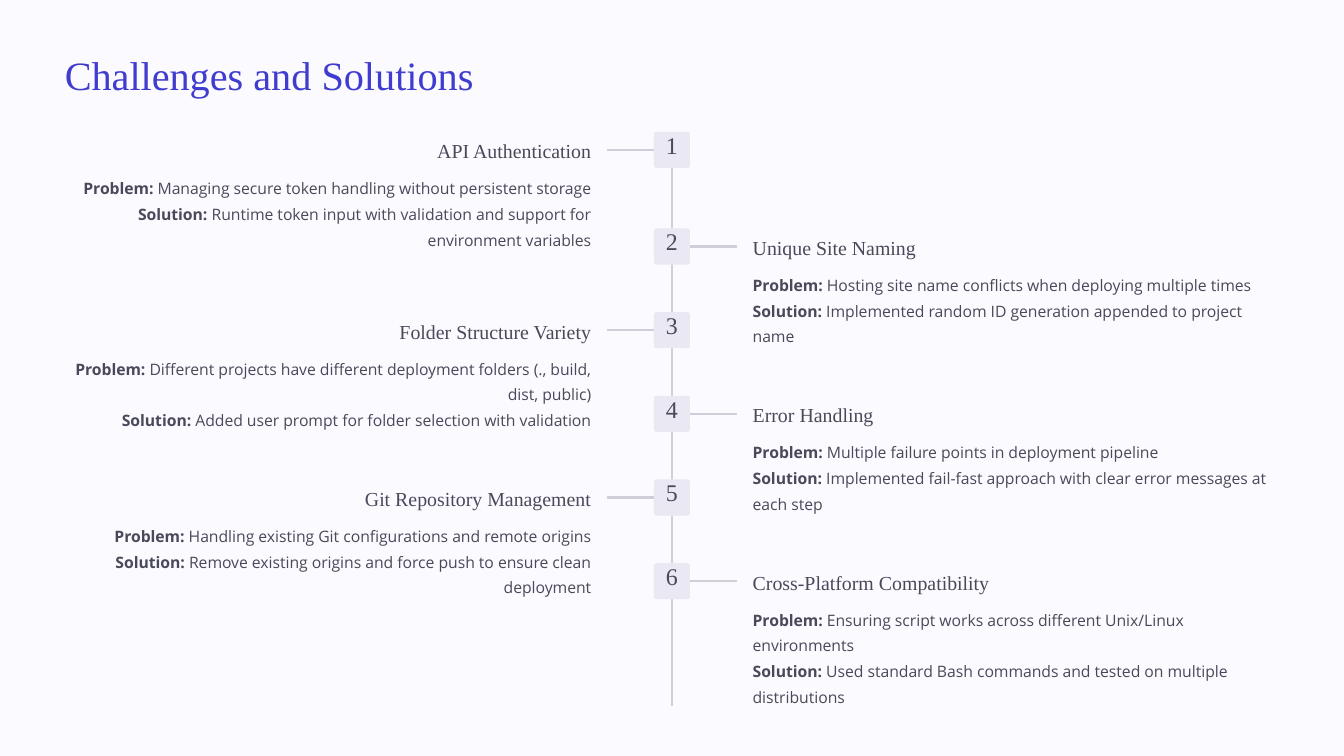
from lxml import etree
from pptx import Presentation
from pptx.dml.color import RGBColor
from pptx.enum.shapes import MSO_CONNECTOR, MSO_SHAPE
from pptx.enum.text import MSO_ANCHOR, MSO_AUTO_SIZE, PP_ALIGN
from pptx.oxml.ns import qn
from pptx.util import Cm, Pt

LEFT, MID, RIGHT = PP_ALIGN.LEFT, PP_ALIGN.CENTER, PP_ALIGN.RIGHT
TOP, NO_FIT = MSO_ANCHOR.TOP, MSO_AUTO_SIZE.NONE
ROUND, LINE = MSO_SHAPE.ROUNDED_RECTANGLE, MSO_CONNECTOR.STRAIGHT

# Content: heading, heading width in cm, problem, solution
TITLE = "Challenges and Solutions"
STEPS = [
    ("API Authentication", 6.1,
     "Managing secure token handling without persistent storage",
     "Runtime token input with validation and support for environment variables"),
    ("Unique Site Naming", 6.35,
     "Hosting site name conflicts when deploying multiple times",
     "Implemented random ID generation appended to project name"),
    ("Folder Structure Variety", 7.49,
     "Different projects have different deployment folders (., build, dist, public)",
     "Added user prompt for folder selection with validation"),
    ("Error Handling", 6.1,
     "Multiple failure points in deployment pipeline",
     "Implemented fail-fast approach with clear error messages at each step"),
    ("Git Repository Management", 8.86,
     "Handling existing Git configurations and remote origins",
     "Remove existing origins and force push to ensure clean deployment"),
    ("Cross-Platform Compatibility", 9.32,
     "Ensuring script works across different Unix/Linux environments",
     "Used standard Bash commands and tested on multiple distributions"),
]

# Style and measures in cm
SERIF, SANS = "Times New Roman", "Open Sans"
PAPER, BLUE, INK, RULE, TILE = "FBFAFF", "403CCF", "49495A", "D0CED9", "EAE8F3"
AXIS, START, END = 20.32, 3.99, 21.36
SECOND, PITCH = 6.91, 2.53
SIDE, TICK = 1.09, 1.41
GAP, WIDE = 2.44, 15.93


def color(code):
    return RGBColor.from_string(code)


def setup(frame):
    frame.margin_left = frame.margin_right = 0
    frame.margin_top = frame.margin_bottom = 0
    frame.word_wrap = True
    frame.auto_size = NO_FIT
    frame.vertical_anchor = TOP


def write(para, parts, font, size, pitch, align=LEFT, code=INK):
    """Fill a paragraph with (text, bold) runs."""
    para.alignment = align
    para.line_spacing = Pt(pitch)
    for text, bold in parts:
        run = para.add_run()
        run.text = text
        run.font.name, run.font.size, run.font.bold = font, Pt(size), bold
        run.font.color.rgb = color(code)


def box(x, y, w, h):
    frame = slide.shapes.add_textbox(Cm(x), Cm(y), Cm(w), Cm(h)).text_frame
    setup(frame)
    return frame


def rule(x1, y1, x2, y2):
    line = slide.shapes.add_connector(LINE, Cm(x1), Cm(y1), Cm(x2), Cm(y2))
    line.line.color.rgb = color(RULE)
    line.line.width = Pt(2)
    etree.SubElement(line._element.spPr, qn("a:effectLst"))
    return line


def tile(num, y):
    shape = slide.shapes.add_shape(ROUND, Cm(AXIS - SIDE / 2), Cm(y), Cm(SIDE), Cm(SIDE))
    shape.adjustments[0] = 0.07
    shape.shadow.inherit = False
    shape.fill.solid()
    shape.fill.fore_color.rgb = color(TILE)
    shape.line.fill.background()
    frame = shape.text_frame
    setup(frame)
    frame.margin_top = Cm(0.08)
    write(frame.paragraphs[0], [(str(num), False)], SERIF, 20.5, 20.5, MID)
    return shape


deck = Presentation()
deck.slide_width, deck.slide_height = Cm(40.64), Cm(22.86)
slide = deck.slides.add_slide(deck.slide_layouts[5])
slide.background.fill.solid()
slide.background.fill.fore_color.rgb = color(PAPER)

# Title
head = slide.shapes.title
head.left, head.top, head.width, head.height = Cm(1.96), Cm(1.47), Cm(15.72), Cm(1.52)
setup(head.text_frame)
write(head.text_frame.paragraphs[0], [(TITLE, False)], SERIF, 34.5, 43, code=BLUE)

# Timeline: odd steps on the left, even steps on the right
rule(AXIS, START, AXIS, END)
for i, (name, width, issue, fix) in enumerate(STEPS):
    y = START if i == 0 else SECOND + (i - 1) * PITCH
    odd = i % 2 == 0
    sign, align, site = (-1, RIGHT, 1) if odd else (1, LEFT, 3)

    # Numbered tile and its tick
    mark = tile(i + 1, y)
    edge, mid = AXIS + sign * SIDE / 2, y + SIDE / 2
    rule(edge + sign * TICK, mid, edge, mid).end_connect(mark, site)

    # Heading and text, set against the inner edge
    inner = AXIS + sign * GAP
    label = box(inner - width if odd else inner, y + 0.18, width, 0.76)
    write(label.paragraphs[0], [(name, False)], SERIF, 17, 21.5, align)
    tall = 3.12 if i == len(STEPS) - 1 else 2.34
    body = box(inner - WIDE if odd else inner, y + 1.22, WIDE, tall)
    write(body.paragraphs[0], [("Problem:", True), (" " + issue, False)],
          SANS, 13.5, 22, align)
    write(body.add_paragraph(), [("Solution:", True), (" " + fix, False)],
          SANS, 13.5, 22, align)

deck.save("out.pptx")
